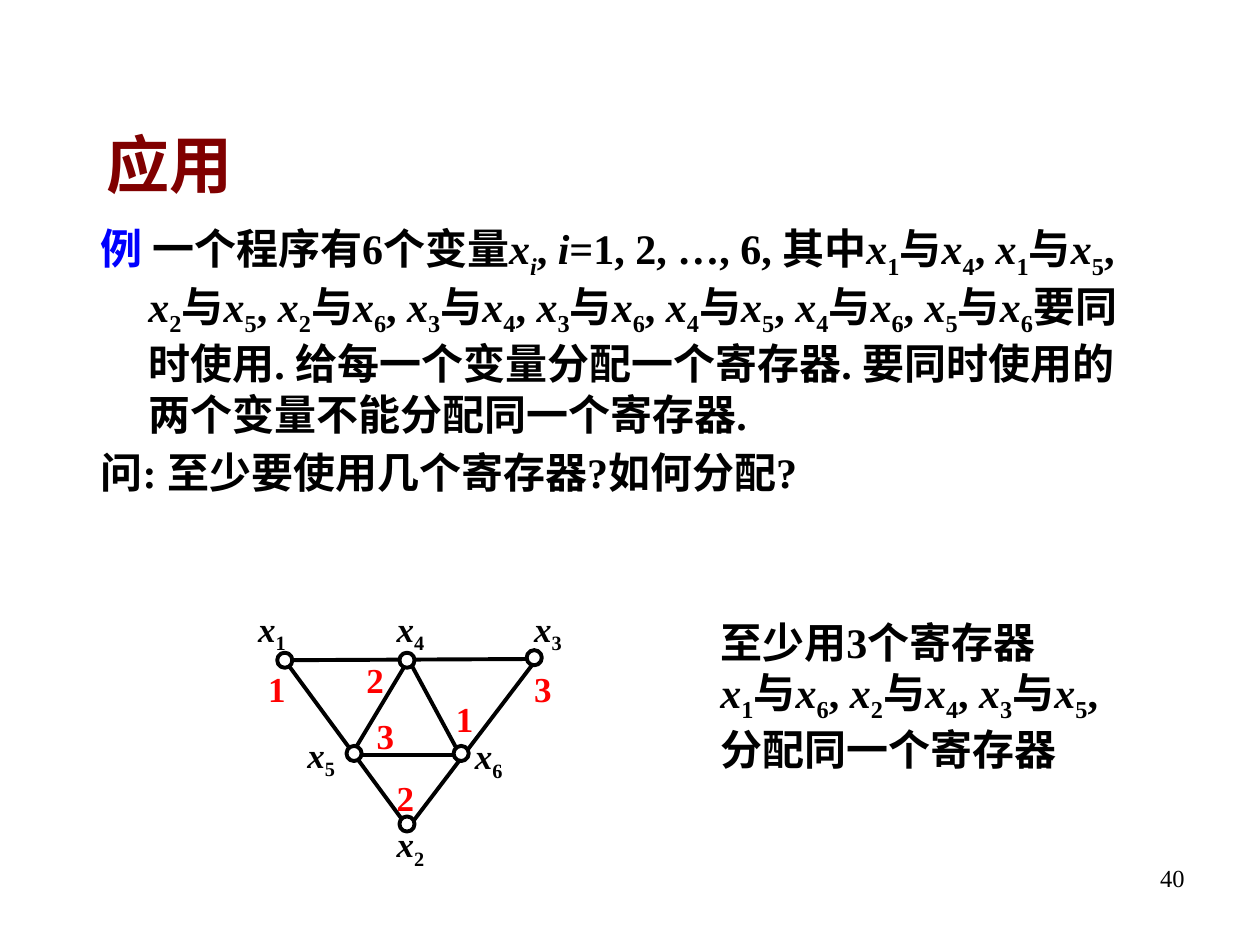
from itertools import groupby

from lxml.etree import SubElement
from pptx import Presentation
from pptx.dml.color import RGBColor
from pptx.enum.shapes import MSO_CONNECTOR as CONN, MSO_SHAPE as SHAPE
from pptx.enum.text import MSO_ANCHOR as ANCHOR, PP_ALIGN as ALIGN
from pptx.oxml.ns import qn
from pptx.util import Inches, Pt

BLACK = RGBColor(0, 0, 0)
WHITE = RGBColor(255, 255, 255)
RED = RGBColor(255, 0, 0)
BLUE = RGBColor(0, 0, 255)
MAROON = RGBColor(128, 0, 0)

NODE_SIZE = 0.12
NODES = {  # top left corner of each vertex
    "x_1": (2.2, 5.18), "x_4": (3.17, 5.18), "x_3": (4.18, 5.16),
    "x_5": (2.75, 5.92), "x_6": (3.6, 5.92), "x_2": (3.17, 6.48),
}
EDGES = [
    (2.26, 5.24, 4.26, 5.23), (2.26, 5.24, 3.24, 6.57),
    (4.26, 5.23, 3.24, 6.57), (3.24, 5.24, 2.79, 5.99),
    (2.79, 5.99, 3.65, 5.99), (3.24, 5.23, 3.65, 5.99),
]
NODE_LABELS = {
    "x_1": (1.95, 4.77), "x_5": (2.34, 5.77), "x_2": (3.05, 6.48),
    "x_3": (4.14, 4.77), "x_6": (3.67, 5.78), "x_4": (3.05, 4.77),
}
REGISTERS = [
    ("1", 2.03, 5.25), ("2", 2.81, 5.18), ("3", 2.89, 5.62),
    ("1", 3.52, 5.49), ("3", 4.14, 5.25), ("2", 3.05, 6.11),
]
CONFLICTS = ("x_1与x_4, x_1与x_5, x_2与x_5, x_2与x_6, x_3与x_4, "
             "x_3与x_6, x_4与x_5, x_4与x_6, x_5与x_6")
EXAMPLE = ("一个程序有6个变量x_i, i=1, 2, …, 6, 其中" + CONFLICTS +
           "要同时使用. 给每一个变量分配一个寄存器. "
           "要同时使用的两个变量不能分配同一个寄存器.")
QUESTION = "问: 至少要使用几个寄存器?如何分配?"
ANSWER = ["至少用3个寄存器", "x_1与x_6, x_2与x_4, x_3与x_5,分配同一个寄存器"]


def math_runs(text):
    """Split text into (string, italic, subscript): letters are italic, _ lowers the next character."""
    chars = [(c, c in "xi", text[k - 1:k] == "_")
             for k, c in enumerate(text) if c != "_"]
    for (italic, sub), group in groupby(chars, key=lambda c: c[1:]):
        yield "".join(c[0] for c in group), italic, sub


class SlideBuilder:
    font = {"name": "Times New Roman", "bold": True}
    line_width = Pt(2.25)

    def __init__(self, slide):
        self.s = slide

    def text(self, x, y, w, h, paras, size, color=BLACK, lead=None,
             anchor=ANCHOR.TOP, para_format=None, **font):
        """Add a text box; lead is an optional (text, color) opening the first paragraph."""
        tf = self.s.shapes.add_textbox(*map(Inches, (x, y, w, h))).text_frame
        tf.word_wrap = True
        tf.vertical_anchor = anchor
        for k, para in enumerate(paras):
            p = tf.add_paragraph() if k else tf.paragraphs[0]
            for name, value in (para_format or {}).items():
                setattr(p, name, value)
            parts = [(*run, color) for run in math_runs(para)]
            if lead and k == 0:
                parts.insert(0, (lead[0], False, False, lead[1]))
            for string, italic, sub, run_color in parts:
                r = p.add_run()
                r.text = string
                look = {**self.font, "size": Pt(size), "italic": italic, **font}
                for name, value in look.items():
                    setattr(r.font, name, value)
                r.font.color.rgb = run_color
                if sub:
                    r._r.get_or_add_rPr().set("baseline", "-25000")
        return tf

    def hanging(self, tf, indent, space):
        """Give every paragraph a hanging indent, and space between paragraphs."""
        for k, p in enumerate(tf.paragraphs):
            pPr = p._p.get_or_add_pPr()
            pPr.set("marL", str(Inches(indent)))
            pPr.set("indent", str(-Inches(indent)))
            if k:
                p.space_before = Pt(space)

    def label(self, text, x, y, w, h, color=BLACK):
        self.text(x, y, w, h, [text], 20, color,
                  para_format={"alignment": ALIGN.JUSTIFY})

    def edge(self, *ends):
        c = self.s.shapes.add_connector(CONN.STRAIGHT, *map(Inches, ends))
        c.line.color.rgb = BLACK
        c.line.width = self.line_width
        SubElement(c._element.spPr, qn("a:effectLst"))

    def node(self, x, y):
        sp = self.s.shapes.add_shape(
            SHAPE.OVAL, *map(Inches, (x, y, NODE_SIZE, NODE_SIZE)))
        sp.shadow.inherit = False
        sp.fill.solid()
        sp.fill.fore_color.rgb = WHITE
        sp.line.color.rgb = BLACK
        sp.line.width = self.line_width


def main():
    prs = Presentation()
    prs.slide_width, prs.slide_height = Inches(10), Inches(7.5)
    b = SlideBuilder(prs.slides.add_slide(prs.slide_layouts[6]))

    b.text(7.42, 6.8, 2.08, 0.5, ["40"], 14, bold=False,
           para_format={"alignment": ALIGN.RIGHT})
    b.text(0.75, 0.67, 8.5, 1.25, ["应用"], 36, MAROON, anchor=ANCHOR.MIDDLE)
    body = b.text(0.7, 1.72, 8.55, 2.58, [EXAMPLE, QUESTION], 24,
                  lead=("例 ", BLUE))
    b.hanging(body, 0.38, 4.8)

    for ends in EDGES:
        b.edge(*ends)
    for corner in NODES.values():
        b.node(*corner)
    for name, corner in NODE_LABELS.items():
        b.label(name, *corner, 0.55, 0.56)
    for number, x, y in REGISTERS:
        b.label(number, x, y, 0.47, 0.45, RED)

    b.text(5.62, 4.84, 3.2, 1.72, ANSWER, 24)
    prs.save("out.pptx")


if __name__ == "__main__":
    main()
